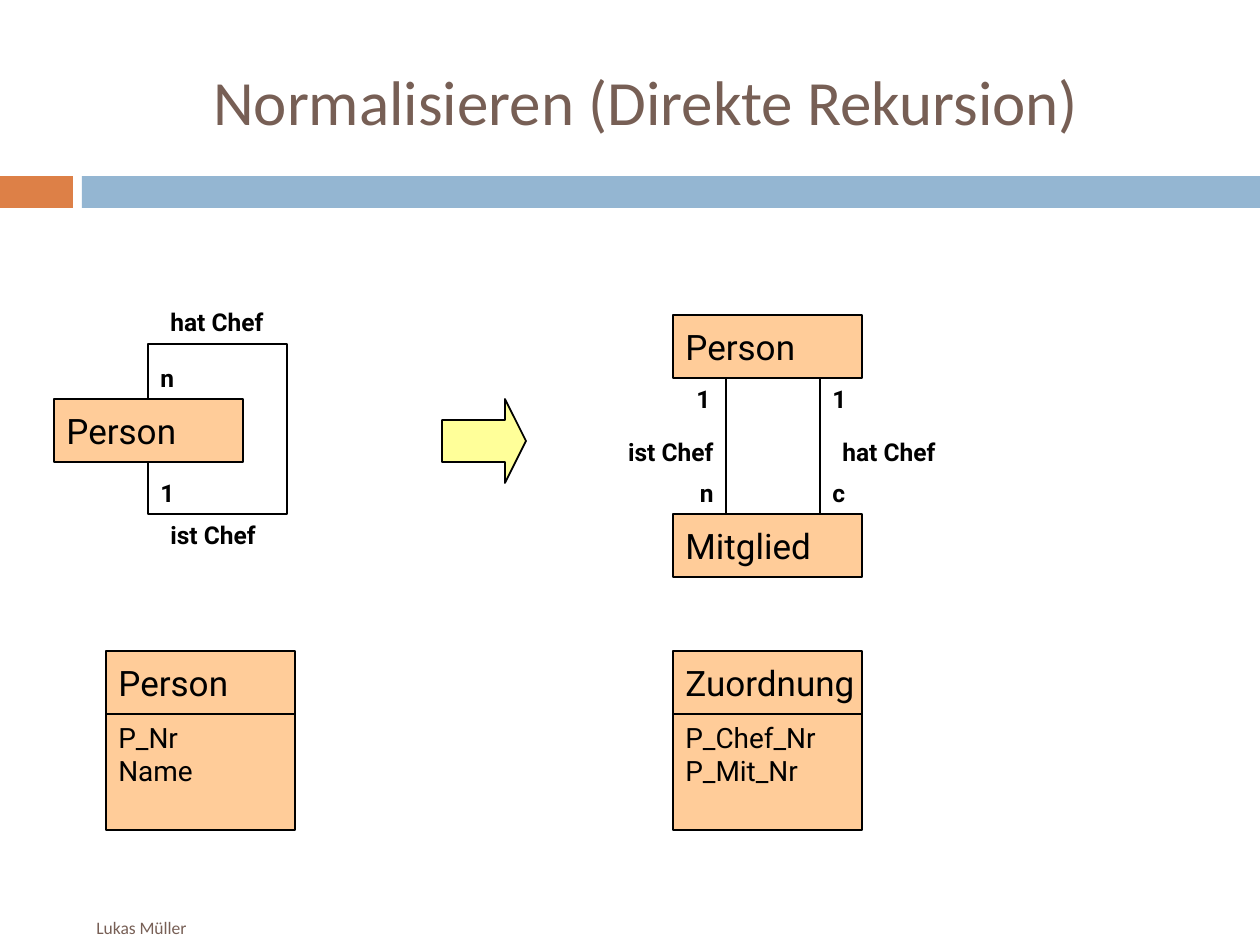
from lxml.etree import SubElement
from pptx import Presentation
from pptx.dml.color import RGBColor
from pptx.enum.shapes import MSO_CONNECTOR, MSO_SHAPE
from pptx.enum.text import MSO_ANCHOR, PP_ALIGN
from pptx.oxml.ns import qn
from pptx.util import Emu, Pt

EMU_PER_PX = 914400 / 126
BLACK, BROWN, ORANGE, BLUE = "000000", "775F55", "DD8047", "94B6D2"
PEACH, YELLOW = "FFCC99", "FFFF99"
ENTITY_WIDTH, ENTITY_HEIGHT, ATTRIBUTES_HEIGHT = 189, 63, 116
LABEL_HEIGHT = 42


def px(value):
    return Emu(round(value * EMU_PER_PX))


def color(hex_string):
    return RGBColor.from_string(hex_string)


def write(shape, text, size, font_name, hex_color, bold=False,
          align=PP_ALIGN.LEFT, anchor=MSO_ANCHOR.TOP):
    frame = shape.text_frame
    frame.text = text
    frame.word_wrap = True
    frame.vertical_anchor = anchor
    for paragraph in frame.paragraphs:
        paragraph.alignment = align
        for run in paragraph.runs:
            run.font.size = Pt(size)
            run.font.name = font_name
            run.font.bold = bold
            run.font.color.rgb = color(hex_color)


def add_text(slide, left, top, width, height, *text_style, **options):
    box = slide.shapes.add_textbox(px(left), px(top), px(width), px(height))
    write(box, *text_style, **options)


def add_label(slide, left, top, width, text, align=PP_ALIGN.LEFT):
    add_text(slide, left, top, width, LABEL_HEIGHT, text, 14, "Roboto", BLACK,
             bold=True, align=align)


def add_filled(slide, kind, left, top, width, height, fill, outlined=True):
    shape = slide.shapes.add_shape(kind, px(left), px(top), px(width), px(height))
    shape.shadow.inherit = False
    shape.fill.solid()
    shape.fill.fore_color.rgb = color(fill)
    if outlined:
        shape.line.color.rgb = color(BLACK)
        shape.line.width = Pt(1)
    else:
        shape.line.fill.background()
    return shape


def add_entity(slide, left, top, name):
    box = add_filled(slide, MSO_SHAPE.RECTANGLE, left, top,
                     ENTITY_WIDTH, ENTITY_HEIGHT, PEACH)
    write(box, name, 20, "Roboto", BLACK, anchor=MSO_ANCHOR.MIDDLE)
    box.text_frame.margin_right = 0


def add_relation_table(slide, left, top, name, attributes):
    """Entity name with its attribute box attached below."""
    add_entity(slide, left, top, name)
    box = add_filled(slide, MSO_SHAPE.RECTANGLE, left, top + ENTITY_HEIGHT,
                     ENTITY_WIDTH, ATTRIBUTES_HEIGHT, PEACH)
    write(box, "\n".join(attributes), 16, "Roboto", BLACK)


def add_vertical_line(slide, x, top, bottom):
    line = slide.shapes.add_connector(MSO_CONNECTOR.STRAIGHT,
                                      px(x), px(top), px(x), px(bottom))
    line.line.color.rgb = color(BLACK)
    line.line.width = Pt(1)
    SubElement(line._element.spPr, qn("a:effectLst"))


def add_header(slide, top, width, height):
    add_text(slide, 84, 32, 1124, 136, "Normalisieren (Direkte Rekursion)", 36,
             "Calibri", BROWN, align=PP_ALIGN.CENTER, anchor=MSO_ANCHOR.MIDDLE)
    for left, right, fill in ((0, 73, ORANGE), (82, width, BLUE)):
        add_filled(slide, MSO_SHAPE.RECTANGLE, left, top, right - left, height,
                   fill, outlined=False)


def add_recursive_entity(slide, left, top):
    """Person with a relation that loops back to itself."""
    center, right = left + 94, left + 233
    entity_top = top + 98
    entity_bottom = entity_top + ENTITY_HEIGHT
    loop_top, loop_bottom = top + 43, top + 213

    builder = slide.shapes.build_freeform(center, entity_bottom, scale=EMU_PER_PX)
    builder.add_line_segments([(center, loop_bottom), (right, loop_bottom),
                               (right, loop_top), (center, loop_top),
                               (center, entity_top)], close=False)
    loop = builder.convert_to_shape()
    loop.shadow.inherit = False
    loop.fill.background()
    loop.line.color.rgb = color(BLACK)
    loop.line.width = Pt(1)

    add_entity(slide, left, entity_top, "Person")
    add_label(slide, center + 10, top, 136, "hat Chef")
    add_label(slide, center, entity_top - LABEL_HEIGHT, 63, "n")
    add_label(slide, center, loop_bottom - LABEL_HEIGHT, 63, "1")
    add_label(slide, center + 10, loop_bottom, 136, "ist Chef")


def add_resolved_entities(slide, left, top):
    """Person and Mitglied joined by two separate relations."""
    chef_x, member_x = left + 53, left + 147
    upper, lower = top + ENTITY_HEIGHT, top + 199
    add_entity(slide, left, top, "Person")
    add_entity(slide, left, lower, "Mitglied")
    for x in (chef_x, member_x):
        add_vertical_line(slide, x, upper, lower)

    middle, bottom = top + 116, lower - LABEL_HEIGHT
    add_label(slide, chef_x - 42, upper, 42, "1")
    add_label(slide, chef_x - 136, middle, 136, "ist Chef", PP_ALIGN.RIGHT)
    add_label(slide, chef_x - 73, bottom, 73, "n", PP_ALIGN.RIGHT)
    add_label(slide, member_x, upper, 42, "1")
    add_label(slide, member_x + 10, middle, 136, "hat Chef")
    add_label(slide, member_x, bottom, 63, "c")


def add_arrow(slide, left, top, size):
    arrow = add_filled(slide, MSO_SHAPE.RIGHT_ARROW, left, top, size, size, YELLOW)
    arrow.adjustments[0] = 0.5
    arrow.adjustments[1] = 0.25


def main():
    presentation = Presentation()
    presentation.slide_width, presentation.slide_height = px(1260), px(945)
    slide = presentation.slides.add_slide(presentation.slide_layouts[6])
    add_header(slide, 176, 1260, 32)
    add_recursive_entity(slide, 54, 301)
    add_arrow(slide, 442, 399, 84)
    add_resolved_entities(slide, 673, 315)
    add_relation_table(slide, 106, 651, "Person", ("P_Nr", "Name"))
    add_relation_table(slide, 673, 651, "Zuordnung", ("P_Chef_Nr", "P_Mit_Nr"))
    add_text(slide, 84, 910, 144, 35, "Lukas Müller", 10, "Calibri", BROWN,
             anchor=MSO_ANCHOR.MIDDLE)
    presentation.save("out.pptx")


if __name__ == "__main__":
    main()
